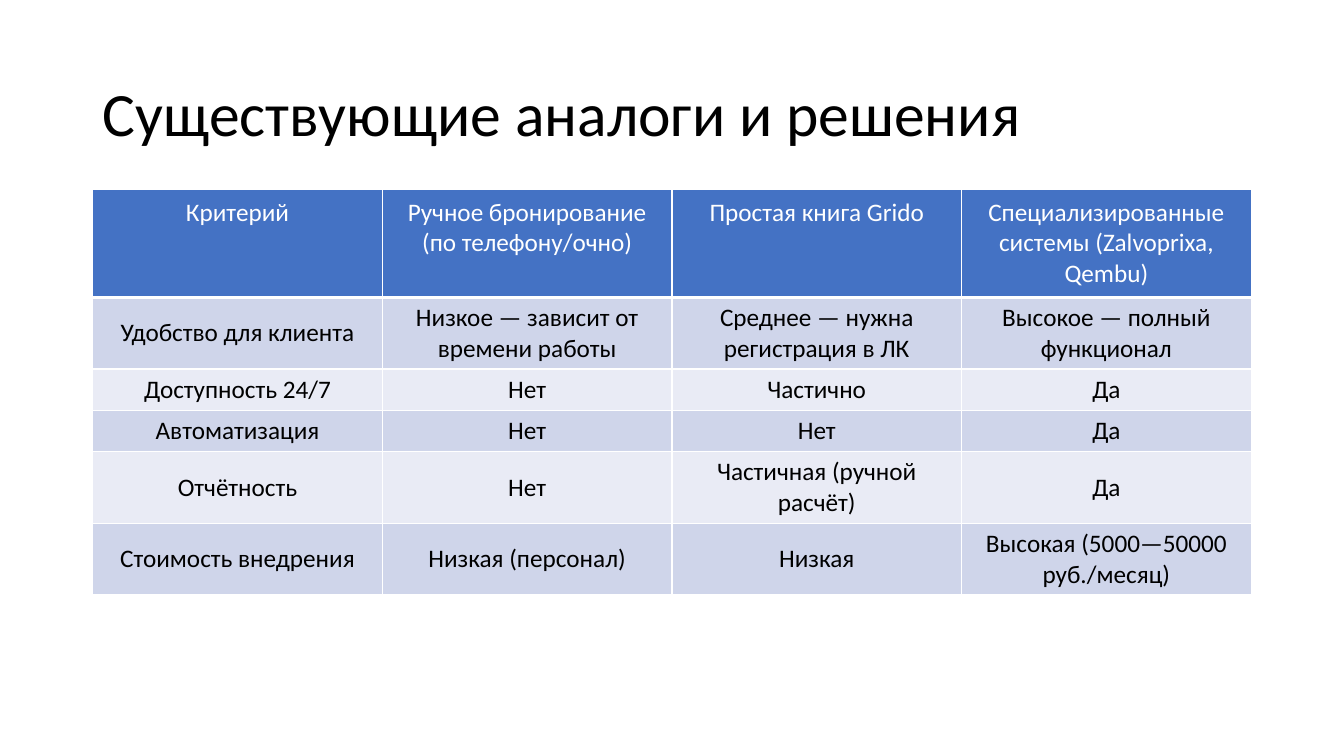
import pptx
import pptx.util
import pptx.dml.color
import pptx.enum.text
import pptx.oxml
import pptx.oxml.ns

Inches, Pt = pptx.util.Inches, pptx.util.Pt
ALIGN, ANCHOR = pptx.enum.text.PP_ALIGN, pptx.enum.text.MSO_ANCHOR
WIDE, HIGH = 13.33, 7.5
FONT = "Calibri"
COLORS = {"head": "4472C4", "odd": "CFD5EA", "even": "E9EBF5",
          "light": "FFFFFF", "dark": "000000"}

TITLE = "Существующие аналоги и решения"
ROWS = [
    ["Критерий", "Ручное бронирование (по телефону/очно)",
     "Простая книга Grido", "Специализированные системы (Zalvoprixa, Qembu)"],
    ["Удобство для клиента", "Низкое — зависит от времени работы",
     "Среднее — нужна регистрация в ЛК", "Высокое — полный функционал"],
    ["Доступность 24/7", "Нет", "Частично", "Да"],
    ["Автоматизация", "Нет", "Нет", "Да"],
    ["Отчётность", "Нет", "Частичная (ручной расчёт)", "Да"],
    ["Стоимость внедрения", "Низкая (персонал)", "Низкая",
     "Высокая (5000—50000 руб./месяц)"],
]


def color(name):
    return pptx.dml.color.RGBColor.from_string(COLORS[name])


def style(frame, size, tone, align):
    """Format every run of a text frame."""
    for para in frame.paragraphs:
        para.alignment = align
        for run in para.runs:
            run.font.name = FONT
            run.font.size = Pt(size)
            run.font.color.rgb = color(tone)


def border(cell, side, width):
    """Add one solid light edge to a cell."""
    cell._tc.get_or_add_tcPr().append(pptx.oxml.parse_xml(
        f'<a:ln{side} {pptx.oxml.ns.nsdecls("a")} w="{Pt(width)}">'
        f'<a:solidFill><a:srgbClr val="{COLORS["light"]}"/></a:solidFill>'
        f'</a:ln{side}>'))


def heading(slide, box):
    title = slide.shapes.title
    title.left, title.top, title.width, title.height = map(Inches, box)
    frame = title.text_frame
    frame.text = TITLE
    frame.word_wrap = True
    frame.vertical_anchor = ANCHOR.MIDDLE
    frame.paragraphs[0].line_spacing = 0.9
    style(frame, 44, "dark", ALIGN.LEFT)


def fill_cell(cell, text, row):
    head = row == 0
    cell.text = text
    cell.vertical_anchor = ANCHOR.TOP if head else ANCHOR.MIDDLE
    cell.margin_left = cell.margin_right = Inches(0.08)
    cell.margin_top = cell.margin_bottom = Inches(0.08 if head else 0.05)
    style(cell.text_frame, 18, "light" if head else "dark", ALIGN.CENTER)
    # The line under the header is heavier
    edges = {"L": 1, "R": 1, "T": 3 if row == 1 else 1, "B": 3 if head else 1}
    for side, width in edges.items():
        border(cell, side, width)
    cell.fill.solid()
    cell.fill.fore_color.rgb = color(
        "head" if head else "odd" if row % 2 else "even")


def compare(slide, box):
    frame = slide.shapes.add_table(len(ROWS), len(ROWS[0]), *map(Inches, box))
    table = frame.table
    for col in table.columns:
        col.width = Inches(box[2] / len(ROWS[0]))
    # Rows grow from one line to fit their text
    for row in table.rows:
        row.height = Inches(0.41)
    frame.height = Inches(box[3])
    for r, texts in enumerate(ROWS):
        for c, text in enumerate(texts):
            fill_cell(table.cell(r, c), text, r)


def main():
    deck = pptx.Presentation()
    deck.slide_width, deck.slide_height = Inches(WIDE), Inches(HIGH)
    slide = deck.slides.add_slide(deck.slide_layouts[5])
    # Title and table share one column and meet at a quarter of the height
    left, split = 0.069 * WIDE, 0.25 * HIGH
    width = WIDE - 2 * left
    heading(slide, (left, 0.43, width, split - 0.43))
    compare(slide, (left, split, width, 0.53 * HIGH))
    deck.save("out.pptx")


if __name__ == "__main__":
    main()
